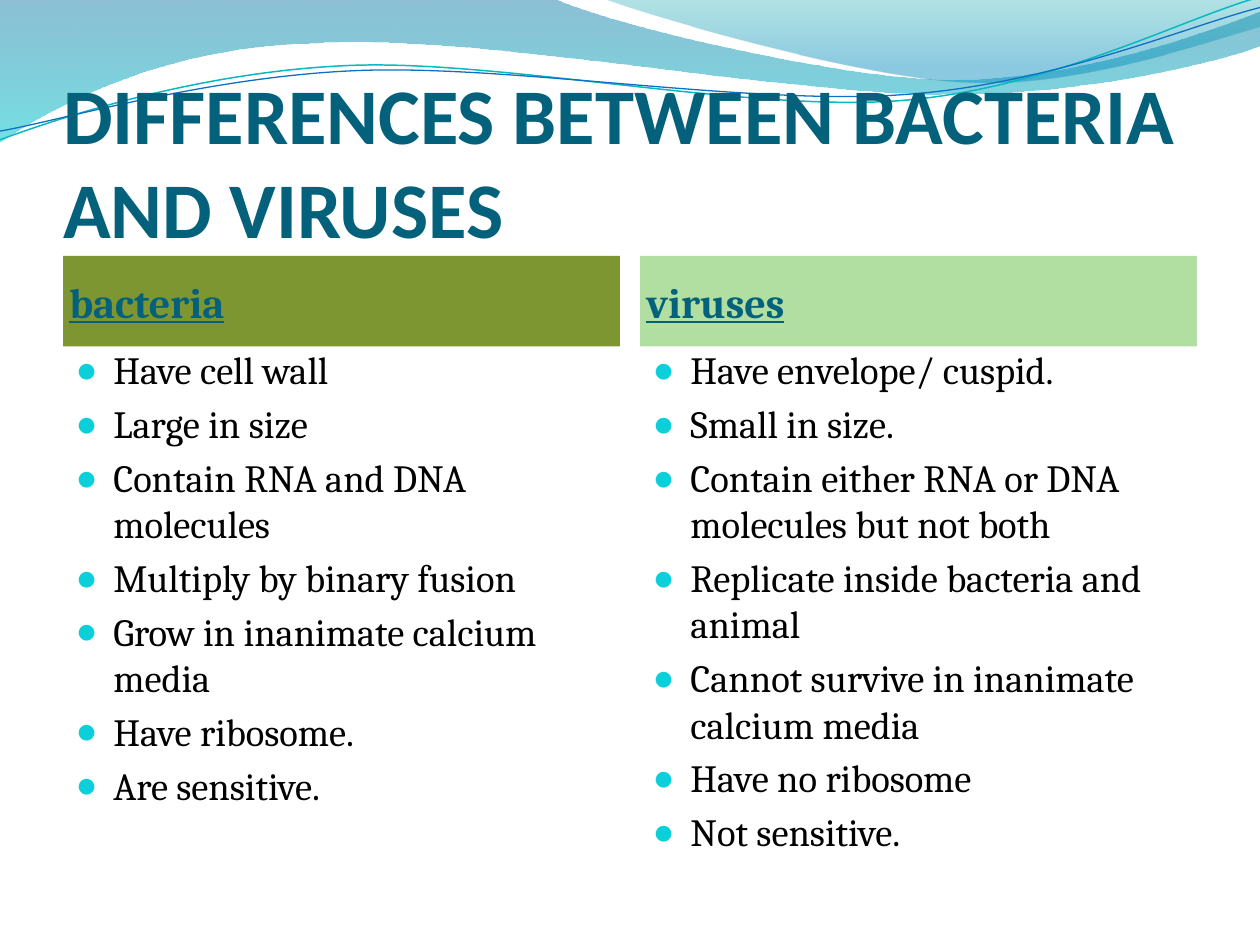
from lxml import etree
from pptx import Presentation
from pptx.dml.color import RGBColor
from pptx.enum.text import MSO_ANCHOR, MSO_AUTO_SIZE, PP_ALIGN
from pptx.oxml.ns import qn
from pptx.util import Pt

TOP, MIDDLE, BOTTOM = MSO_ANCHOR.TOP, MSO_ANCHOR.MIDDLE, MSO_ANCHOR.BOTTOM
LEFT = PP_ALIGN.LEFT
NO_AUTOFIT = MSO_AUTO_SIZE.NONE
COMPARISON_LAYOUT = 4

THEME = {
    "heading": "04617B", "text": "000000", "bullet": "0BD0D9",
    "bacteria": "7E9632", "viruses": "B0DFA1",
    "title_font": "Calibri", "body_font": "Cambria",
    "title_size": 45, "header_size": 24, "list_size": 22,
    # Gradient stops: position, colour, opacity in percent
    "wide_wave": [(0, "0074A1", 45), (1, "00C6CF", 55)],
    "right_wave": [(0, "00A1A9", 30), (0.8, "008BBF", 45)],
    "upper_line": "0AB8BF", "lower_line": "0F6FC6",
}


def draw_path(shapes, start, steps, close):
    """Draw steps in points: pairs are straight lines, sixes are Bézier curves."""
    builder = shapes.build_freeform(Pt(start[0]), Pt(start[1]))
    builder.add_line_segments([(Pt(step[-2]), Pt(step[-1])) for step in steps], close=close)
    shape = builder.convert_to_shape()
    shape.shadow.inherit = False
    segments = list(shape._element.spPr.iter(qn("a:lnTo")))
    for segment, step in zip(segments, steps):
        if len(step) == 6:
            curve = etree.Element(qn("a:cubicBezTo"))
            for x, y in zip(step[::2], step[1::2]):
                etree.SubElement(curve, qn("a:pt"), x=str(Pt(x) - shape.left), y=str(Pt(y) - shape.top))
            segment.getparent().replace(segment, curve)
    return shape


def write_text(shape, lines, *, box, font, size, color, anchor=TOP, margins=(0, 0, 0, 0),
               bold=False, underline=False, bullet=None):
    shape.left, shape.top, shape.width, shape.height = map(Pt, box)
    frame = shape.text_frame
    frame.word_wrap = True
    frame.auto_size = NO_AUTOFIT
    frame.vertical_anchor = anchor
    frame.margin_left, frame.margin_top, frame.margin_right, frame.margin_bottom = map(Pt, margins)
    for index, line in enumerate(lines):
        paragraph = frame.paragraphs[0] if index == 0 else frame.add_paragraph()
        paragraph.alignment = LEFT
        paragraph.space_before = Pt(0.2 * size if index else 0)
        if bullet:
            properties = paragraph._p.get_or_add_pPr()
            properties.set("marL", str(Pt(21.6)))
            properties.set("indent", str(Pt(-21.6)))
            bullet_color = etree.SubElement(properties, qn("a:buClr"))
            etree.SubElement(bullet_color, qn("a:srgbClr"), val=bullet)
            etree.SubElement(properties, qn("a:buSzPct"), val="95000")
            etree.SubElement(properties, qn("a:buChar"), char="●")
        run = paragraph.add_run()
        run.text = line
        run.font.name = font
        run.font.size = Pt(size)
        run.font.bold = bold
        run.font.underline = underline
        run.font.color.rgb = RGBColor.from_string(color)


presentation = Presentation()
presentation.slide_width, presentation.slide_height = Pt(720), Pt(540)
slide = presentation.slides.add_slide(presentation.slide_layouts[COMPARISON_LAYOUT])
shapes = slide.shapes

waves = [
    ("wide_wave", (0, 0), [
        (316.8, -0.7), (342.7, 12.2, 478.1, 45.4, 545.8, 45.4),
        (614.2, 45.4, 689.8, 18.7, 720, 6.5), (720.7, 25.9),
        (707.8, 31.7, 626.4, 54.7, 537.1, 54), (447.8, 54, 275, 20.2, 185, 24.5),
        (92.9, 25.9, 33.1, 59.8, -0.7, 81.4)]),
    ("right_wave", (344.9, -0.7), [
        (366.5, 7.9, 491, 44.6, 553.7, 46.8), (616.3, 49.7, 691.9, 23, 720, 15.1),
        (720, 0)]),
]
for name, start, steps in waves:
    wave = draw_path(shapes, start, steps, close=True)
    wave.line.fill.background()
    wave.fill.gradient()
    wave.fill.gradient_angle = 270
    for stop, (position, color, opacity) in zip(wave.fill.gradient_stops, THEME[name]):
        stop.position = position
        stop.color.rgb = RGBColor.from_string(color)
    colors = wave._element.spPr.iter(qn("a:srgbClr"))
    for color_element, (position, color, opacity) in zip(colors, THEME[name]):
        etree.SubElement(color_element, qn("a:alpha"), val=str(opacity * 1000))

wave_lines = [
    ("upper_line", 0.85, (-1.4, 62.9), [
        (33.8, 51.7, 114.1, 29.4, 199.8, 29.9), (284.8, 30.3, 425.9, 67.3, 512.5, 64.8),
        (599.1, 62.4, 676.5, 25.7, 720.2, 15.6)]),
    ("lower_line", 0.75, (-1.1, 57.9), [
        (32.9, 53.7, 118.3, 32.5, 204.1, 33), (290.6, 33.4, 428.9, 63.8, 515.5, 61.4),
        (601.4, 59.6, 678.4, 30.1, 721.4, 21.3)]),
]
for name, width, start, steps in wave_lines:
    wave_line = draw_path(shapes, start, steps, close=False)
    wave_line.rotation = 357.3
    wave_line.fill.background()
    wave_line.line.color.rgb = RGBColor.from_string(THEME[name])
    wave_line.line.width = Pt(width)

# Text lies in front of the waves
placeholders = {item.placeholder_format.idx: item for item in slide.placeholders}
for index in (0, 1, 3, 2, 4):
    shapes._spTree.append(placeholders[index]._element)

write_text(placeholders[0], ["DIFFERENCES BETWEEN BACTERIA AND VIRUSES"],
           box=(36, 55.5, 648, 90), font=THEME["title_font"], size=THEME["title_size"],
           color=THEME["heading"], anchor=BOTTOM, margins=(0, 3.6, 0, 0), bold=True)

columns = [
    ("bacteria", 36, 1, [
        "Have cell wall", "Large in size", "Contain RNA and DNA molecules",
        "Multiply by binary fusion", "Grow in inanimate calcium media",
        "Have ribosome.", "Are sensitive."]),
    ("viruses", 365.75, 3, [
        "Have envelope/ cuspid.", "Small in size.",
        "Contain either RNA or DNA molecules but not both",
        "Replicate inside bacteria and animal",
        "Cannot survive in inanimate calcium media",
        "Have no ribosome", "Not sensitive."]),
]
for name, left, index, items in columns:
    header = placeholders[index]
    header.fill.solid()
    header.fill.fore_color.rgb = RGBColor.from_string(THEME[name])
    write_text(header, [name], box=(left, 146.25, 318.25, 51.75), font=THEME["body_font"],
               size=THEME["header_size"], color=THEME["heading"], anchor=MIDDLE,
               margins=(3.6, 0, 3.6, 0), bold=True, underline=True)
    write_text(placeholders[index + 1], items, box=(left, 198, 318.25, 303),
               font=THEME["body_font"], size=THEME["list_size"], color=THEME["text"],
               margins=(7.2, 0, 7.2, 3.6), bullet=THEME["bullet"])

presentation.save("out.pptx")
